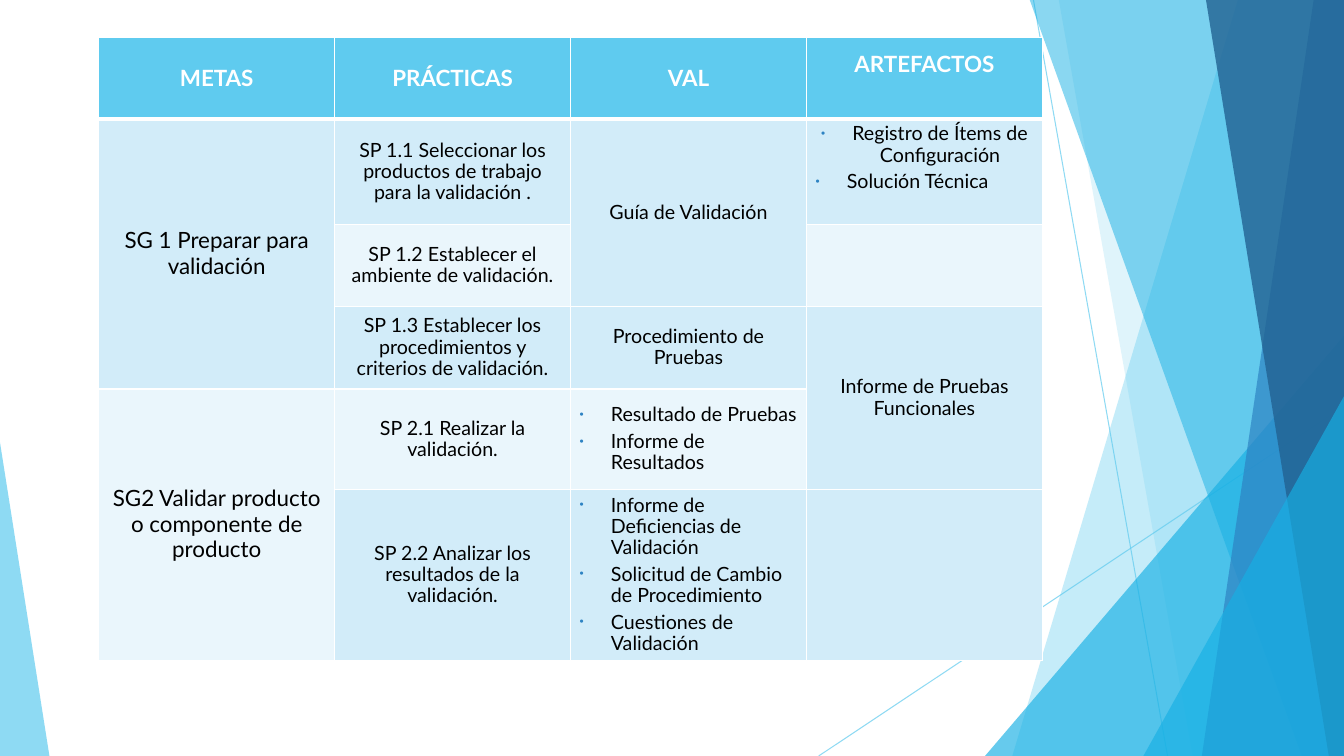
from lxml import etree
from pptx import Presentation
from pptx.dml.color import RGBColor
from pptx.enum.shapes import MSO_CONNECTOR, MSO_SHAPE
from pptx.enum.text import MSO_ANCHOR as Anchor, PP_ALIGN as Align
from pptx.oxml.ns import qn
from pptx.util import Inches, Pt

WIDTH, HEIGHT = 13.33, 7.5
SKY, AZURE, BLUE, NAVY = "5FCBEF", "17B0E4", "2E83C3", "226292"
WHITE, BLACK = "FFFFFF", "000000"
BANDS = ("EAF6FC", "D2ECF9")

# Background: start, end
LINES = [((10.25, 0), (11.58, 7.5)), ((13.33, 4.03), (8.12, 7.5))]
# Shards reach the right edge: ("shard", top left x, bottom left x, colour, opacity)
# Triangles stand on the bottom edge: ("triangle", left, top, width, apex, colour, opacity)
DECOR = [
    ("shard", 12.28, 10.04, SKY, 36),
    ("shard", 10.5, 11.83, SKY, 20),
    ("triangle", 9.77, 3.33, 3.56, 1, AZURE, 66),
    ("shard", 10.21, 12.91, AZURE, 50),
    ("shard", 13.03, 11.92, BLUE, 70),
    ("shard", 11.96, 13.18, NAVY, 80),
    ("triangle", 11.34, 3.93, 1.99, 1, AZURE, 66),
    ("triangle", 0, 4.39, 0.49, 0, SKY, 70),
]

TABLE_LEFT, TABLE_TOP, COLUMN_WIDTH = 0.98, 0.37, 2.34
ROW_HEIGHTS = [0.81, 1.05, 0.81, 0.82, 1.0, 1.69]
HEADINGS = ["METAS", "PRÁCTICAS", "VAL", "ARTEFACTOS"]
GOALS = {1: "SG 1 Preparar para validación",
         4: "SG2 Validar producto o componente de producto"}
PRACTICES = {
    1: "SP 1.1 Seleccionar los productos de trabajo para la validación .",
    2: "SP 1.2 Establecer el ambiente de validación.",
    3: "SP 1.3 Establecer los procedimientos y criterios de validación.",
    4: "SP 2.1 Realizar la validación.",
    5: "SP 2.2 Analizar los resultados de la validación.",
}
# A list is bulleted
VALIDATION = {
    1: "Guía de Validación",
    3: "Procedimiento de Pruebas",
    4: ["Resultado de Pruebas", "Informe de Resultados"],
    5: ["Informe de Deficiencias de Validación",
        "Solicitud de Cambio de Procedimiento", "Cuestiones de Validación"],
}
ARTEFACTS = {1: ["Registro de Ítems de Configuración", "Solución Técnica"],
             3: "Informe de Pruebas Funcionales"}
# (first row, last row, column)
SPANS = [(1, 3, 0), (4, 5, 0), (1, 2, 2), (3, 4, 3)]


def add_node(parent, tag, **attributes):
    """Append an XML child with the given attributes."""
    node = etree.SubElement(parent, qn(tag))
    for name, value in attributes.items():
        node.set(name, str(value))
    return node


def paint(fill, color, opacity=100):
    """Give a fill a solid colour, optionally see-through."""
    fill.solid()
    fill.fore_color.rgb = RGBColor.from_string(color)
    if opacity < 100:
        color_node = next(fill._xPr.iter(qn("a:srgbClr")))
        add_node(color_node, "a:alpha", val=opacity * 1000)


def add_line(page, start, end):
    """Draw a thin translucent line."""
    ends = [Inches(value) for value in start + end]
    line = page.shapes.add_connector(MSO_CONNECTOR.STRAIGHT, *ends)
    line.line.width = Pt(0.75)
    paint(line.line.fill, SKY, 70)
    add_node(line._element.spPr, "a:effectLst")


def add_shard(page, top_x, bottom_x):
    """Outline a full-height area from a slanted edge to the right side."""
    corners = [(top_x, -0.01), (WIDTH, -0.01), (WIDTH, HEIGHT), (bottom_x, HEIGHT)]
    points = [(Inches(x), Inches(y)) for x, y in corners]
    builder = page.shapes.build_freeform(*points[0], scale=1.0)
    builder.add_line_segments(points[1:], close=True)
    return builder.convert_to_shape()


def add_triangle(page, left, top, width, apex):
    """Stand a triangle on the bottom edge of the slide."""
    shape = page.shapes.add_shape(
        MSO_SHAPE.ISOSCELES_TRIANGLE, Inches(left), Inches(top),
        Inches(width), Inches(HEIGHT - top))
    shape.adjustments[0] = apex
    return shape


def add_decor(page):
    """Draw the background lines and facets."""
    for start, end in LINES:
        add_line(page, start, end)
    makers = {"shard": add_shard, "triangle": add_triangle}
    for kind, *geometry, color, opacity in DECOR:
        shape = makers[kind](page, *geometry)
        shape.shadow.inherit = False
        shape.line.fill.background()
        paint(shape.fill, color, opacity)


def add_bullet(para):
    """Give a paragraph a small blue bullet and a hanging indent."""
    props = para._p.get_or_add_pPr()
    props.set("marL", str(Inches(0.31)))
    props.set("indent", str(-Inches(0.31)))
    add_node(add_node(props, "a:buClr"), "a:srgbClr", val=BLUE)
    add_node(props, "a:buSzPct", val=60000)
    add_node(props, "a:buFont", typeface="Arial")
    add_node(props, "a:buChar", char="•")


def write(para, text, size=14, color=BLACK, bold=False, align=Align.CENTER,
          spacing=0.9, after=4, bullet=False):
    """Put formatted text in a paragraph."""
    para.alignment = align
    para.line_spacing = spacing
    para.space_after = Pt(after)
    if bullet:
        add_bullet(para)
    span = para.add_run()
    span.text = text
    span.font.name = "Lato"
    span.font.size = Pt(size)
    span.font.bold = bold
    span.font.color.rgb = RGBColor.from_string(color)


def style_cell(cell, row):
    """Set borders, fill, anchor and insets of a cell."""
    props = cell._tc.get_or_add_tcPr()
    thick_side = {0: "B", 1: "T"}.get(row)
    for side in "LRTB":
        width = Pt(3 if side == thick_side else 1)
        border = add_node(props, "a:ln" + side, w=width)
        add_node(add_node(border, "a:solidFill"), "a:srgbClr", val=WHITE)
    paint(cell.fill, BANDS[row % 2] if row else SKY)
    cell.vertical_anchor = Anchor.MIDDLE
    cell.margin_left = cell.margin_right = Inches(0.09)
    cell.margin_top = cell.margin_bottom = Inches(0.05)


def fill_cell(cell, content, **text_format):
    """Write one text, or a bulleted list of texts, in a cell."""
    bullet = isinstance(content, list)
    if bullet:
        text_format.update(bullet=True, align=Align.LEFT)
    for index, text in enumerate(content if bullet else [content]):
        frame = cell.text_frame
        para = frame.add_paragraph() if index else frame.paragraphs[0]
        write(para, text, **text_format)


def add_goal_table(page):
    """Build the table of goals, practices, validation and artefacts."""
    table = page.shapes.add_table(
        len(ROW_HEIGHTS), len(HEADINGS), Inches(TABLE_LEFT), Inches(TABLE_TOP),
        Inches(COLUMN_WIDTH * len(HEADINGS)), Inches(sum(ROW_HEIGHTS))).table
    for column in table.columns:
        column.width = Inches(COLUMN_WIDTH)
    for row, height in enumerate(ROW_HEIGHTS):
        table.rows[row].height = Inches(height)
        for column in range(len(HEADINGS)):
            style_cell(table.cell(row, column), row)
    for first, last, column in SPANS:
        table.cell(first, column).merge(table.cell(last, column))

    for column, heading in enumerate(HEADINGS):
        fill_cell(table.cell(0, column), heading, size=16, color=WHITE,
                  bold=True, spacing=1.0, after=0)
    for row, goal in GOALS.items():
        fill_cell(table.cell(row, 0), goal, size=16, spacing=0.95, after=0)
    for column, entries in enumerate((PRACTICES, VALIDATION, ARTEFACTS), start=1):
        for row, content in entries.items():
            fill_cell(table.cell(row, column), content)

    table.cell(0, 3).margin_bottom = Inches(0.33)
    first_artefacts = table.cell(1, 3)
    first_artefacts.vertical_anchor = Anchor.TOP
    first_artefacts.text_frame.paragraphs[0].alignment = Align.CENTER


deck = Presentation()
deck.slide_width, deck.slide_height = Inches(WIDTH), Inches(HEIGHT)
page = deck.slides.add_slide(deck.slide_layouts[6])
paint(page.background.fill, WHITE)
add_decor(page)
add_goal_table(page)
deck.save("out.pptx")
